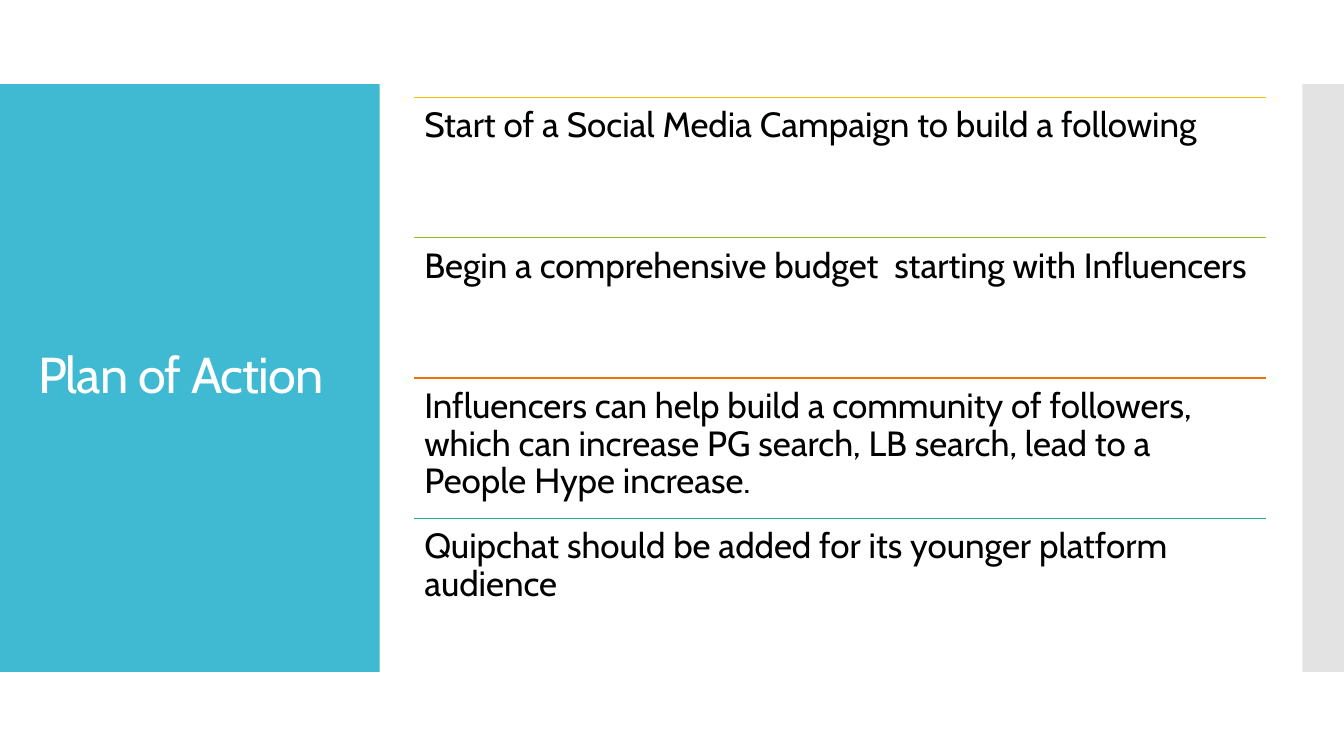
"""Build the Plan of Action slide."""
from lxml import etree
from pptx import Presentation
from pptx.dml.color import RGBColor
from pptx.enum.shapes import MSO_CONNECTOR, MSO_SHAPE
from pptx.enum.text import MSO_ANCHOR, MSO_AUTO_SIZE, PP_ALIGN
from pptx.oxml.ns import qn
from pptx.util import Pt

RECTANGLE = MSO_SHAPE.RECTANGLE
STRAIGHT = MSO_CONNECTOR.STRAIGHT
TOP, MIDDLE = MSO_ANCHOR.TOP, MSO_ANCHOR.MIDDLE
LEFT = PP_ALIGN.LEFT
NO_AUTOFIT = MSO_AUTO_SIZE.NONE

TEAL = RGBColor(0x40, 0xBA, 0xD2)
GREY = RGBColor(0xC8, 0xC8, 0xC8)
WHITE = RGBColor(0xFF, 0xFF, 0xFF)
BLACK = RGBColor(0x00, 0x00, 0x00)
YELLOW = RGBColor(0xFA, 0xB9, 0x00)
GREEN = RGBColor(0x90, 0xBB, 0x23)
ORANGE = RGBColor(0xEE, 0x70, 0x08)
SEA_GREEN = RGBColor(0x1A, 0xB3, 0x9F)

FONT = "Cabin"
PANEL_TOP, PANEL_HEIGHT = 60, 420
STEP_LEFT, STEP_TOP, STEP_WIDTH, STEP_HEIGHT = 296, 69.6, 608.4, 100.2
STEPS = [
    (YELLOW, "Start of a Social Media Campaign to build a following"),
    (GREEN, "Begin a comprehensive budget  starting with Influencers"),
    (ORANGE, "Influencers can help build a community of followers, which can "
             "increase PG search, LB search, lead to a People Hype increase."),
    (SEA_GREEN, "Quipchat should be added for its younger platform audience"),
]


def set_attributes(target, values):
    """Set each named value on the target."""
    for name, value in values.items():
        setattr(target, name, value)


def add_panel(slide, left, width, color, opacity=100):
    """Add a plain side panel and return it."""
    panel = slide.shapes.add_shape(
        RECTANGLE, Pt(left), Pt(PANEL_TOP), Pt(width), Pt(PANEL_HEIGHT))
    panel.shadow.inherit = False
    panel.fill.solid()
    panel.fill.fore_color.rgb = color
    panel.line.fill.background()
    if opacity < 100:
        color_element = panel.element.spPr.find(qn("a:solidFill"))[0]
        etree.SubElement(color_element, qn("a:alpha"), val=str(opacity * 1000))
    return panel


def write_text(shape, text, size, color, anchor, space_after=0):
    """Write one formatted paragraph into a shape and return its run."""
    frame = shape.text_frame
    set_attributes(frame, {
        "word_wrap": True, "auto_size": NO_AUTOFIT, "vertical_anchor": anchor,
        "margin_left": Pt(7.2), "margin_right": Pt(7.2),
        "margin_top": Pt(7.2), "margin_bottom": Pt(7.2)})
    paragraph = frame.paragraphs[0]
    set_attributes(paragraph, {
        "alignment": LEFT, "line_spacing": 0.9,
        "space_before": Pt(0), "space_after": Pt(space_after)})
    run = paragraph.add_run()
    run.text = text
    set_attributes(run.font, {"name": FONT, "size": Pt(size)})
    run.font.color.rgb = color
    return run


def format_title(slide, text):
    """Place the title in front of its panel and write it."""
    title = slide.shapes.title
    set_attributes(title, {"left": Pt(20), "top": Pt(88.5),
                           "width": Pt(232), "height": Pt(362.5)})
    run = write_text(title, text, 36, WHITE, MIDDLE)
    run.font._element.set("spc", "-60")
    slide.shapes.element.append(title.element)


def add_rule(slide, top, color):
    """Add the coloured line above a step."""
    rule = slide.shapes.add_connector(
        STRAIGHT, Pt(STEP_LEFT), Pt(top), Pt(STEP_LEFT + STEP_WIDTH), Pt(top))
    rule.line.color.rgb = color
    rule.line.width = Pt(0.85)
    etree.SubElement(rule.element.spPr, qn("a:effectLst"))


def add_step(slide, top, color, text):
    """Add one step with its line and text."""
    add_rule(slide, top, color)
    box = slide.shapes.add_textbox(
        Pt(STEP_LEFT), Pt(top), Pt(STEP_WIDTH), Pt(STEP_HEIGHT))
    write_text(box, text, 25, BLACK, TOP, space_after=8.75)


def main():
    """Build and save the presentation."""
    presentation = Presentation()
    set_attributes(presentation, {"slide_width": Pt(960),
                                  "slide_height": Pt(540)})
    slide = presentation.slides.add_slide(presentation.slide_layouts[5])
    add_panel(slide, 0, 271.2, TEAL)
    add_panel(slide, 930.2, 29.8, GREY, opacity=50)
    format_title(slide, "Plan of Action")
    for index, (color, text) in enumerate(STEPS):
        add_step(slide, STEP_TOP + index * STEP_HEIGHT, color, text)
    presentation.save("out.pptx")


if __name__ == "__main__":
    main()
